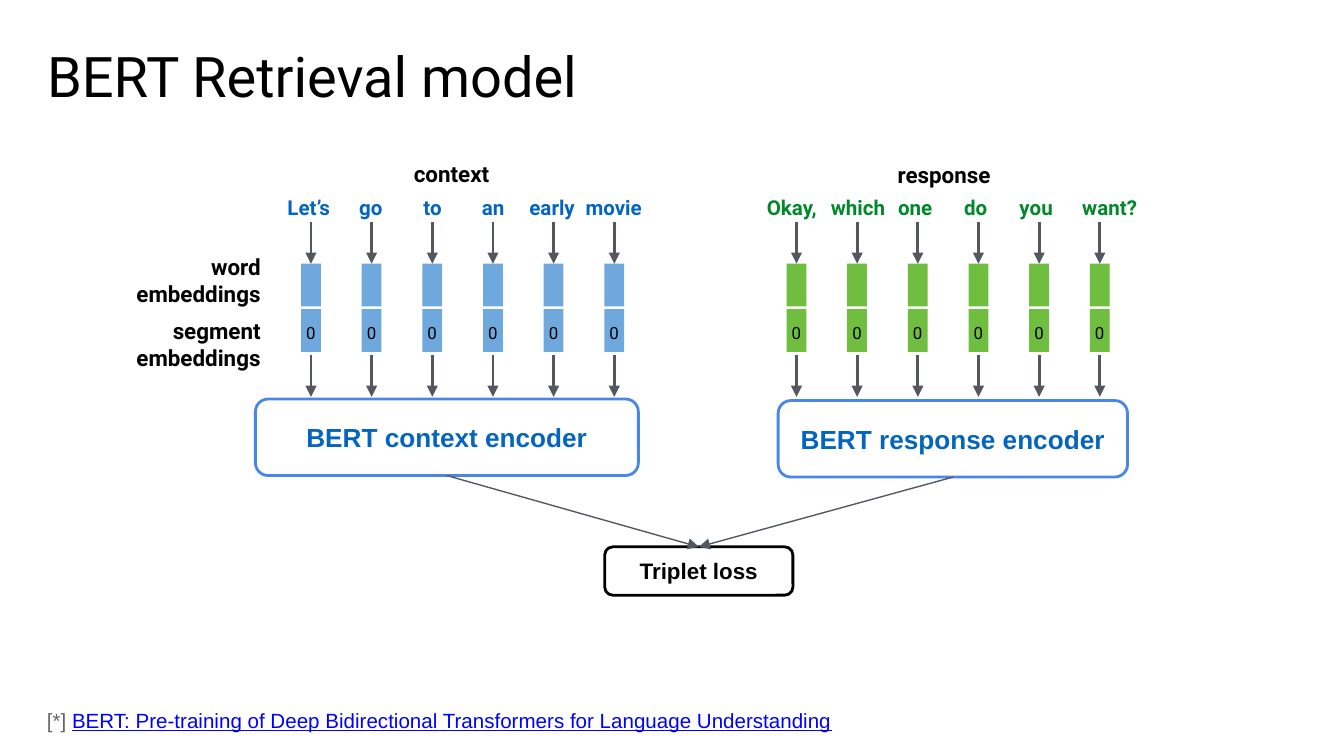
"""Build the slide that shows the BERT retrieval model with its two encoders."""
import pptx
import pptx.dml.color
import pptx.enum.shapes
import pptx.enum.text
import pptx.oxml
import pptx.oxml.ns
import pptx.util

Pt = pptx.util.Pt
RGBColor = pptx.dml.color.RGBColor
ALIGN = pptx.enum.text.PP_ALIGN
ANCHOR = pptx.enum.text.MSO_ANCHOR
SHAPE = pptx.enum.shapes.MSO_SHAPE

BLACK = RGBColor(0x00, 0x00, 0x00)
GRAY = RGBColor(0x66, 0x66, 0x66)
ARROW_GRAY = RGBColor(0x53, 0x58, 0x5F)
TEXT_BLUE = RGBColor(0x03, 0x65, 0xC0)
TEXT_GREEN = RGBColor(0x00, 0x88, 0x2B)
CELL_BLUE = RGBColor(0x6F, 0xA8, 0xDC)
CELL_GREEN = RGBColor(0x6F, 0xBE, 0x40)
BORDER_BLUE = RGBColor(0x4A, 0x86, 0xE8)
LINK_BLUE = RGBColor(0x00, 0x00, 0xFF)

COLUMN_STEP = 32.5
CELL_WIDTH, CELL_HEIGHT = 10.6, 22.9
WORD_TOP, SEGMENT_TOP = 141.3, 165.6

presentation = pptx.Presentation()
presentation.slide_width = Pt(720)
presentation.slide_height = Pt(405)
slide = presentation.slides.add_slide(presentation.slide_layouts[5])
shapes = slide.shapes


def write_text(shape, text, size=12, font="Roboto", color=BLACK, bold=False, underline=False,
               align=ALIGN.LEFT, anchor=ANCHOR.TOP, line_spacing=None):
    """Append a formatted run to the shape's first paragraph."""
    frame = shape.text_frame
    frame.auto_size = pptx.enum.text.MSO_AUTO_SIZE.NONE
    frame.word_wrap = True
    frame.vertical_anchor = anchor
    frame.margin_left = frame.margin_right = frame.margin_top = frame.margin_bottom = Pt(7.2)
    paragraph = frame.paragraphs[0]
    paragraph.alignment = align
    paragraph.line_spacing = line_spacing
    run = paragraph.add_run()
    run.text = text
    run.font.size = Pt(size)
    run.font.name = font
    run.font.color.rgb = color
    run.font.bold = bold
    run.font.underline = underline


def add_arrow(start_x, start_y, end_x, end_y, width):
    """Draw a straight arrow and return its connector."""
    arrow = shapes.add_connector(pptx.enum.shapes.MSO_CONNECTOR.STRAIGHT,
                                 Pt(start_x), Pt(start_y), Pt(end_x), Pt(end_y))
    arrow.line.color.rgb = ARROW_GRAY
    arrow.line.width = Pt(width)
    line = arrow.line._get_or_add_ln()
    line.append(pptx.oxml.parse_xml(
        f'<a:tailEnd {pptx.oxml.ns.nsdecls("a")} type="triangle"/>'))
    arrow._element.spPr.append(pptx.oxml.parse_xml(
        f'<a:effectLst {pptx.oxml.ns.nsdecls("a")}/>'))
    return arrow


title = shapes.title
title.left, title.top, title.width, title.height = Pt(18), Pt(12.2), Pt(635), Pt(48.2)
write_text(title, "BERT Retrieval model", size=30, line_spacing=Pt(39))

sequences = [
    (166.6, TEXT_BLUE, CELL_BLUE,
     [("Let’s", 145.4, 40), ("go", 180.7, 36), ("to", 213.8, 36),
      ("an", 246.2, 36), ("early", 275.8, 40), ("movie", 303.8, 50)]),
    (426.7, TEXT_GREEN, CELL_GREEN,
     [("Okay,", 399.6, 49), ("which", 435.6, 48.2), ("one", 472.3, 36),
      ("do", 504.7, 36), ("you", 537.1, 36), ("want?", 569.5, 50)]),
]
for first_center, text_color, cell_color, words in sequences:
    for column, (word, left, width) in enumerate(words):
        center = first_center + column * COLUMN_STEP
        label = shapes.add_textbox(Pt(left), Pt(97.2), Pt(width), Pt(21.6))
        write_text(label, word, size=11, color=text_color, bold=True, align=ALIGN.CENTER)
        cells = []
        for top in (WORD_TOP, SEGMENT_TOP):
            cell = shapes.add_shape(SHAPE.RECTANGLE, Pt(center - CELL_WIDTH / 2), Pt(top),
                                    Pt(CELL_WIDTH), Pt(CELL_HEIGHT))
            cell.shadow.inherit = False
            cell.fill.solid()
            cell.fill.fore_color.rgb = cell_color
            cell.line.fill.background()
            cells.append(cell)
        add_arrow(center, 119, center, WORD_TOP, 1.5).end_connect(cells[0], 0)
        add_arrow(center, 190.2, center, 212.6, 1.5)
        digit = shapes.add_textbox(Pt(center - 9.7), Pt(165.6), Pt(18), Pt(21.6))
        write_text(digit, "0", size=9)

row_labels = [("word embeddings", 59, 128.2, 87.8), ("segment embeddings", 18, 162.7, 128.8)]
for text, left, top, width in row_labels:
    label = shapes.add_textbox(Pt(left), Pt(top), Pt(width), Pt(18))
    write_text(label, text, bold=True, align=ALIGN.RIGHT, line_spacing=Pt(14.4))

for text, left, top in [("context", 214.6, 78.5), ("response", 473.8, 79.2)]:
    heading = shapes.add_textbox(Pt(left), Pt(top), Pt(72), Pt(21.6))
    write_text(heading, text, bold=True)

boxes = []
for text, left, top, width, height, size, text_color, border in [
    ("BERT context encoder", 136.8, 213.8, 205.2, 41, 14, TEXT_BLUE, BORDER_BLUE),
    ("BERT response encoder", 416.9, 214.6, 187.2, 41, 14, TEXT_BLUE, BORDER_BLUE),
    ("Triplet loss", 324, 293, 100.8, 25.9, 12, BLACK, BLACK),
]:
    box = shapes.add_shape(SHAPE.ROUNDED_RECTANGLE, Pt(left), Pt(top), Pt(width), Pt(height))
    box.shadow.inherit = False
    box.fill.background()
    box.line.color.rgb = border
    box.line.width = Pt(1.5)
    write_text(box, text, size=size, font="Arial", color=text_color, bold=True,
               align=ALIGN.CENTER, anchor=ANCHOR.MIDDLE)
    boxes.append(box)

context_encoder, response_encoder, triplet_loss = boxes
for encoder in (context_encoder, response_encoder):
    arrow = add_arrow(0, 0, 0, 0, 0.75)
    arrow.begin_connect(encoder, 2)
    arrow.end_connect(triplet_loss, 0)

footnote = shapes.add_textbox(Pt(18), Pt(372.2), Pt(464.4), Pt(26.6))
write_text(footnote, "[*] ", size=11, font="Arial", color=GRAY)
write_text(footnote,
           "BERT: Pre-training of Deep Bidirectional Transformers for Language Understanding",
           size=11, font="Arial", color=LINK_BLUE, underline=True)

presentation.save("out.pptx")
